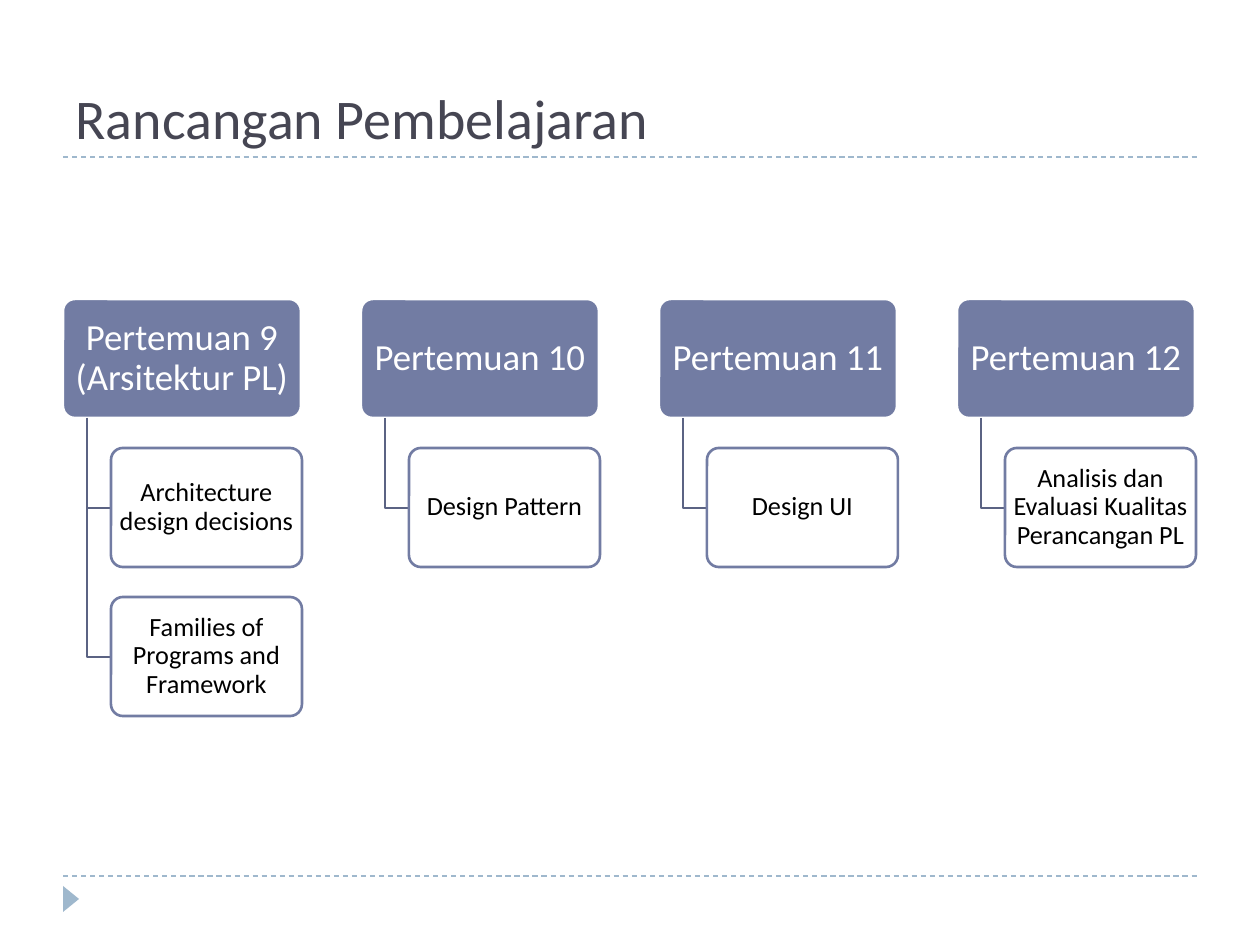
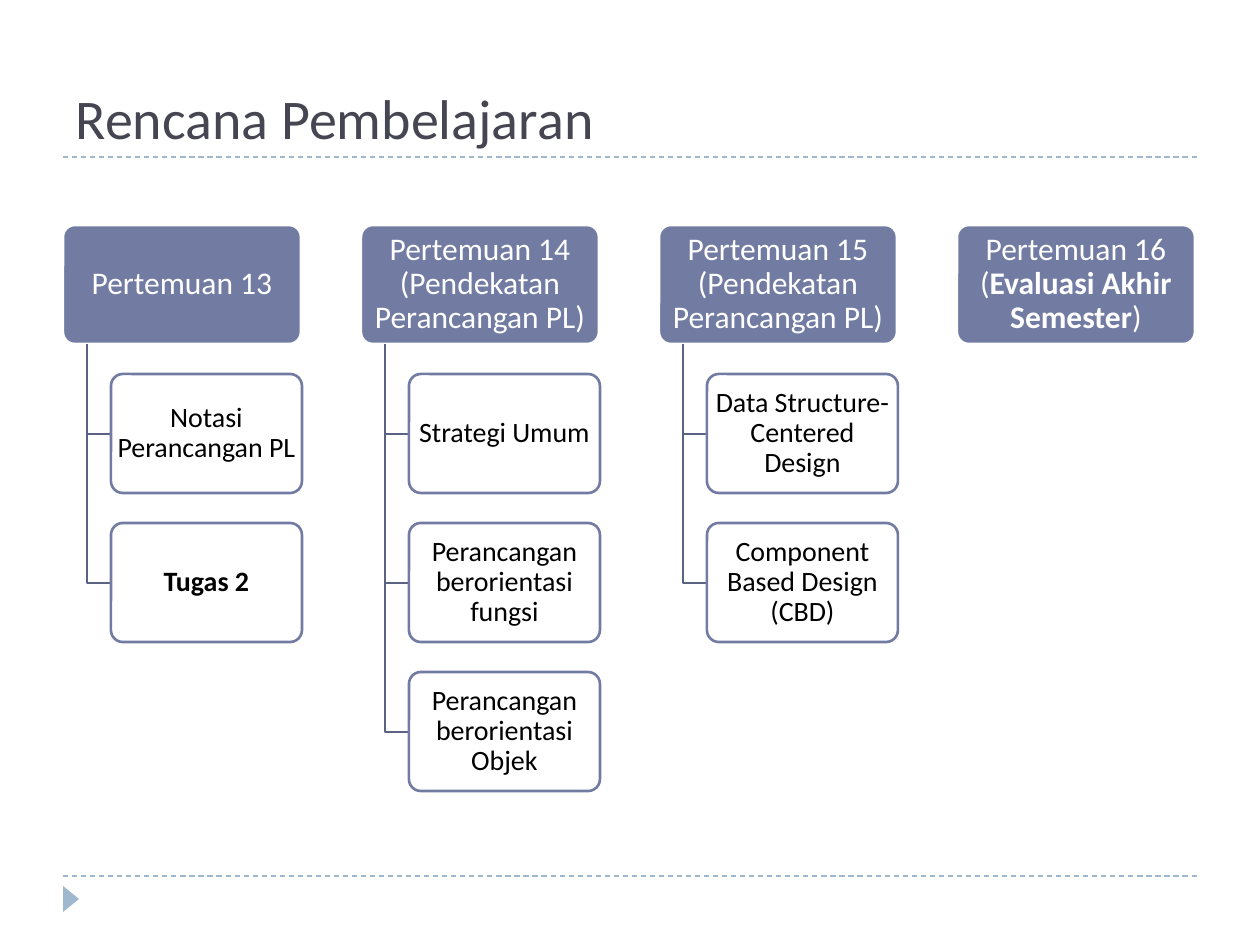
from lxml import etree
from pptx import Presentation
from pptx.dml.color import RGBColor
from pptx.enum.dml import MSO_LINE
from pptx.enum.shapes import MSO_CONNECTOR, MSO_SHAPE as SHAPE
from pptx.enum.text import MSO_ANCHOR as ANCHOR, PP_ALIGN as ALIGN
from pptx.oxml.ns import qn
from pptx.util import Pt

SCALE = 914400 / 126
COLORS = {
    "title": "464653",
    "head": "727CA3",
    "branch": "5B6383",
    "accent": "9FB8CD",
    "white": "FFFFFF",
    "black": "000000",
}
LEFT, PITCH = 63, 298
HEAD_W, SUB_W, BOX_H = 238, 191, 119
ROW_STEP = 149
STEM_X, SUB_X = 24, 48

SLIDES = [
    ("Rancangan Pembelajaran", 299, 21, 15, [
        ("Pertemuan 9 (Arsitektur PL)",
         ["Architecture design decisions", "Families of Programs and Framework"]),
        ("Pertemuan 10", ["Design Pattern"]),
        ("Pertemuan 11", ["Design UI"]),
        ("Pertemuan 12", ["Analisis dan Evaluasi Kualitas Perancangan PL"]),
    ]),
    ("Rencana Pembelajaran", 225, 18, 16, [
        ("Pertemuan 13", ["Notasi Perancangan PL", "*Tugas 2*"]),
        ("Pertemuan 14 (Pendekatan Perancangan PL)",
         ["Strategi Umum", "Perancangan berorientasi fungsi",
          "Perancangan berorientasi Objek"]),
        ("Pertemuan 15 (Pendekatan Perancangan PL)",
         ["Data Structure-Centered Design", "Component Based Design (CBD)"]),
        ("Pertemuan 16 (*Evaluasi Akhir Semester*)", []),
    ]),
]


def px(*values):
    return [round(v * SCALE) for v in values]


def rgb(name):
    return RGBColor.from_string(COLORS[name])


def write(sp, text, size, color, align=ALIGN.CENTER, anchor=ANCHOR.MIDDLE,
          spacing=None, inset=None):
    tf = sp.text_frame
    tf.word_wrap = True
    tf.vertical_anchor = anchor
    if inset:
        tf.margin_left, tf.margin_top = tf.margin_right, tf.margin_bottom = px(*inset)
    p = tf.paragraphs[0]
    p.alignment = align
    p.line_spacing = spacing
    for i, part in enumerate(text.split("*")):
        if part:
            r = p.add_run()
            r.text = part
            r.font.name = "Calibri"
            r.font.size = Pt(size)
            r.font.bold = i % 2 == 1
            r.font.color.rgb = rgb(color)


class Deck:
    def __init__(self):
        self.prs = Presentation()
        self.prs.slide_width, self.prs.slide_height = px(1260, 945)
        self.s = None

    def slide(self, title):
        self.s = self.prs.slides.add_slide(self.prs.slide_layouts[5])
        self.rule(876)
        self.rule(157)
        self.shape(SHAPE.ISOSCELES_TRIANGLE, 58, 891, 26, 16, "accent").rotation = 90
        sp = self.s.shapes.title
        sp.left, sp.top, sp.width, sp.height = px(LEFT, 21, 1134, 136)
        write(sp, title, 32, "title", align=ALIGN.LEFT, anchor=ANCHOR.BOTTOM)

    def rule(self, y):
        line = self.s.shapes.add_connector(
            MSO_CONNECTOR.STRAIGHT, *px(LEFT, y, LEFT + 1134, y))
        line.line.color.rgb = rgb("accent")
        line.line.width = Pt(0.75)
        line.line.dash_style = MSO_LINE.DASH
        etree.SubElement(line._element.spPr, qn("a:effectLst"))

    def shape(self, kind, x, y, w, h, fill, line=None):
        sp = self.s.shapes.add_shape(kind, *px(x, y, w, h))
        sp.shadow.inherit = False
        sp.fill.solid()
        sp.fill.fore_color.rgb = rgb(fill)
        if line:
            sp.line.color.rgb = rgb(line)
            sp.line.width = Pt(1.5)
        else:
            sp.line.fill.background()
        return sp

    def box(self, x, y, w, text, size, fill, line, color, inset):
        sp = self.shape(SHAPE.ROUNDED_RECTANGLE, x, y, w, BOX_H, fill, line)
        sp.adjustments[0] = 0.1
        write(sp, text, size, color, spacing=0.9, inset=inset)

    def branch(self, x, top, bottom, end):
        fb = self.s.shapes.build_freeform(*px(x, top))
        fb.add_line_segments([px(x, bottom), px(end, bottom)], close=False)
        sp = fb.convert_to_shape()
        sp.shadow.inherit = False
        sp.fill.background()
        sp.line.color.rgb = rgb("branch")
        sp.line.width = Pt(1.5)

    def column(self, x, top, head, subs, head_size, sub_size):
        self.box(x, top, HEAD_W, head, head_size, "head", "white", "white", (5, 4))
        for row, sub in enumerate(subs, 1):
            y = top + row * ROW_STEP
            self.branch(x + STEM_X, top + BOX_H, y + BOX_H // 2 + 1, x + SUB_X)
            self.box(x + SUB_X, y, SUB_W, sub, sub_size, "white", "head", "black", (3, 3))


def main():
    deck = Deck()
    for title, top, head_size, sub_size, meetings in SLIDES:
        deck.slide(title)
        for i, (head, subs) in enumerate(meetings):
            deck.column(LEFT + i * PITCH, top, head, subs, head_size, sub_size)
    deck.prs.save("out.pptx")


if __name__ == "__main__":
    main()
